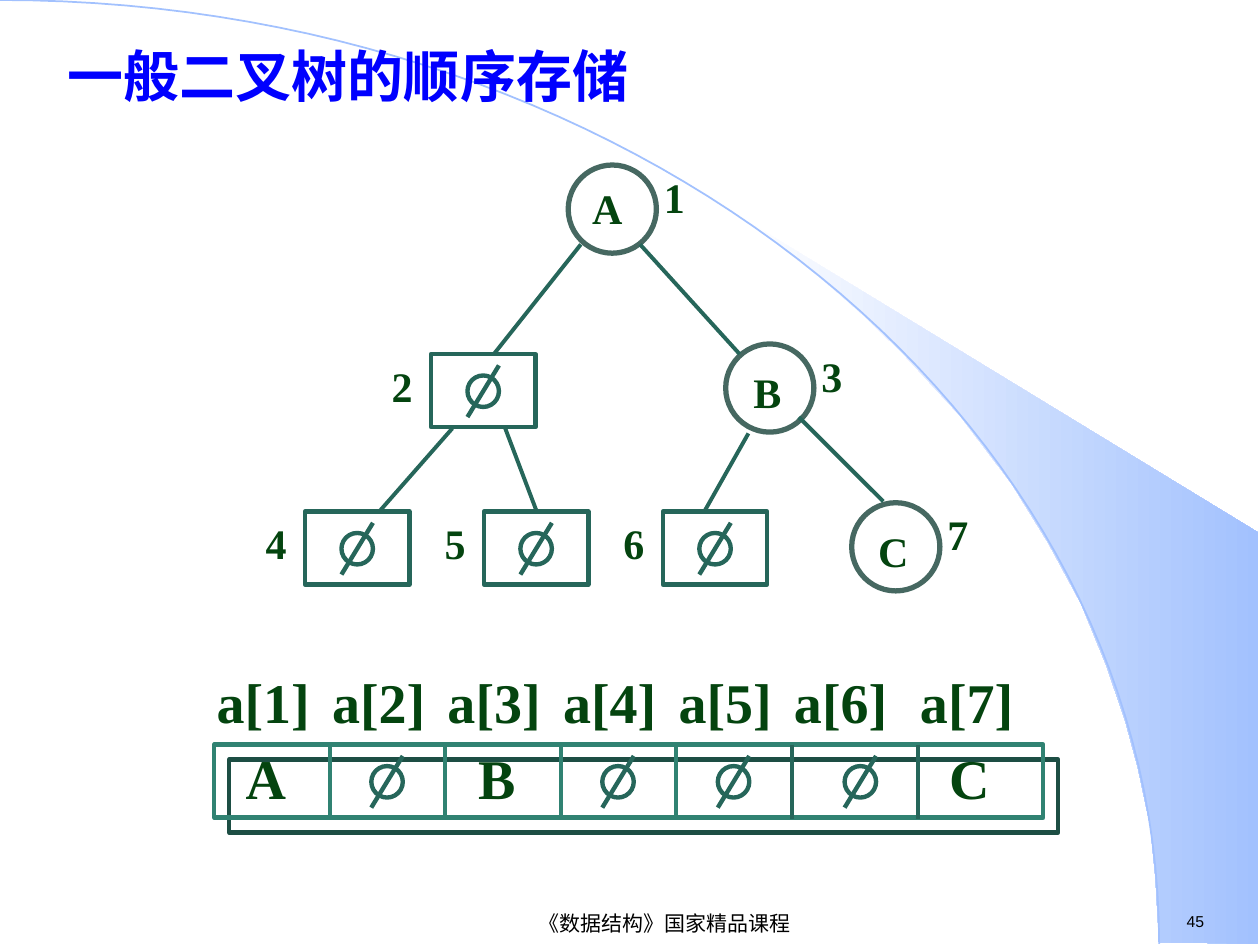
from lxml.etree import SubElement
from pptx import Presentation
from pptx.dml.color import RGBColor
from pptx.enum.shapes import MSO_CONNECTOR, MSO_SHAPE
from pptx.enum.text import MSO_ANCHOR, PP_ALIGN
from pptx.oxml.ns import qn
from pptx.util import Inches, Pt

COLORS = {
    "sky": "A2C1FE",
    "white": "FFFFFF",
    "black": "000000",
    "title": "0000FF",
    "text": "04440F",
    "node": "466861",
    "edge": "26665A",
    "array": "308272",
    "shadow": "1D4E44",
}
SERIF = "Times New Roman"
BOX_WIDTH, BOX_HEIGHT = 0.83, 0.58
NODE_SIZE = 0.7
NULL_SIZE = 0.25
CELL_WIDTH = 5.5 / 6

SWOOSH = [
    (9.2, 7.48), (9.99, 7.49), (9.99, 4.23), (5.89, 1.73), (6.24, 1.99),
    (6.53, 2.22), (6.85, 2.5), (7.16, 2.8), (7.62, 3.3), (8.03, 3.84),
    (8.32, 4.31), (8.58, 4.79), (8.78, 5.28), (8.93, 5.72), (9.03, 6.09),
    (9.13, 6.56), (9.17, 6.96),
]
# Letter, index, circle position, offset of the letter box, its width, line spacing
NODES = [
    ("C", 7, 6.76, 3.99, 0.08, 0.09, 0.5, 1.1),
    ("B", 3, 5.76, 2.73, 0.08, 0.09, 0.5, 1.1),
    ("A", 1, 4.51, 1.31, 0.02, 0.03, 0.58, 1.15),
]
EMPTY_NODES = [(2, 3.42, 2.81), (4, 2.42, 4.06), (5, 3.84, 4.06), (6, 5.26, 4.06)]
EDGES = [
    (6.34, 3.31, 7.01, 3.98), (4.01, 3.4, 4.26, 4.06), (5.08, 1.94, 5.87, 2.81),
    (4.61, 1.94, 3.92, 2.81), (3.59, 3.4, 3.01, 4.06), (5.94, 3.44, 5.59, 4.06),
]


def color(name):
    return RGBColor.from_string(COLORS[name])


def add_text(slide, text, left, top, width, height, size, font=SERIF, color_name="text",
             bold=True, align=PP_ALIGN.LEFT, spacing=1.0, wrap=True, anchor=MSO_ANCHOR.TOP):
    box = slide.shapes.add_textbox(Inches(left), Inches(top), Inches(width), Inches(height))
    frame = box.text_frame
    frame.word_wrap = wrap
    frame.vertical_anchor = anchor
    paragraph = frame.paragraphs[0]
    paragraph.alignment = align
    paragraph.line_spacing = spacing
    run = paragraph.add_run()
    run.text = text
    run.font.name = font
    run.font.size = Pt(size)
    run.font.bold = bold
    run.font.color.rgb = color(color_name)


def add_outline(slide, kind, left, top, width, height, color_name, weight=2.5):
    shape = slide.shapes.add_shape(kind, Inches(left), Inches(top), Inches(width), Inches(height))
    shape.shadow.inherit = False
    shape.fill.background()
    shape.line.color.rgb = color(color_name)
    shape.line.width = Pt(weight)
    return shape


def add_line(slide, x1, y1, x2, y2, color_name="edge", weight=2.25):
    line = slide.shapes.add_connector(
        MSO_CONNECTOR.STRAIGHT, Inches(x1), Inches(y1), Inches(x2), Inches(y2))
    line.line.color.rgb = color(color_name)
    line.line.width = Pt(weight)
    SubElement(line._element.spPr, qn("a:effectLst"))


def add_freeform(slide, points, close):
    corners = [(Inches(x), Inches(y)) for x, y in points]
    builder = slide.shapes.build_freeform(*corners[0])
    builder.add_line_segments(corners[1:], close=close)
    shape = builder.convert_to_shape()
    shape.shadow.inherit = False
    return shape


def add_null_sign(slide, left, top):
    add_outline(slide, MSO_SHAPE.OVAL, left, top, NULL_SIZE, NULL_SIZE, "edge")
    add_line(slide, left + NULL_SIZE, top - 0.08, left, top + 0.33, weight=2.5)


def add_hard_shadow(shape):
    effects = shape._element.spPr.find(qn("a:effectLst"))
    shadow = SubElement(effects, qn("a:outerShdw"), blurRad="0", dist=str(Pt(12.1)),
                        dir="2700000", algn="ctr", rotWithShape="0")
    SubElement(shadow, qn("a:srgbClr"), val=COLORS["shadow"])


def curve_points(start, control1, control2, end, steps=60):
    points = []
    for step in range(steps + 1):
        t = step / steps
        weights = ((1 - t) ** 3, 3 * t * (1 - t) ** 2, 3 * t ** 2 * (1 - t), t ** 3)
        corners = (start, control1, control2, end)
        points.append(tuple(sum(w * corner[axis] for w, corner in zip(weights, corners))
                            for axis in (0, 1)))
    return points


def add_background(slide):
    swoosh = add_freeform(slide, SWOOSH, close=True)
    swoosh.line.fill.background()
    swoosh.fill.gradient()
    swoosh.fill.gradient_angle = 0
    for stop, name, position in zip(swoosh.fill.gradient_stops, ("white", "sky"), (0, 1)):
        stop.color.rgb = color(name)
        stop.position = position

    arc = add_freeform(slide, curve_points((0, 0), (5.08, 0), (9.2, 3.35), (9.2, 7.49)), close=False)
    arc.fill.background()
    arc.line.color.rgb = color("sky")
    arc.line.width = Pt(1)


def add_tree(slide):
    for letter, index, left, top, dx, dy, width, spacing in NODES:
        add_outline(slide, MSO_SHAPE.FLOWCHART_CONNECTOR, left, top,
                    NODE_SIZE, NODE_SIZE, "node", 3)
        add_text(slide, letter, left + dx, top + dy, width, 0.54, 24,
                 align=PP_ALIGN.CENTER, spacing=spacing)
        add_text(slide, str(index), left + 0.66, top, 0.5, 0.5, 24)
    for index, left, top in EMPTY_NODES:
        add_outline(slide, MSO_SHAPE.RECTANGLE, left, top, BOX_WIDTH, BOX_HEIGHT, "edge")
        add_null_sign(slide, left + 0.29, top + 0.17)
        add_text(slide, str(index), left - 0.41, top, 0.5, 0.5, 24)
    for edge in EDGES:
        add_line(slide, *edge)


def add_array(slide):
    left, top = 1.7, 5.91
    # Five equal cells, then two that are one inch wide
    starts = [left + CELL_WIDTH * i for i in range(6)]
    starts.append(starts[-1] + 1)
    frame = add_outline(slide, MSO_SHAPE.RECTANGLE, left, top, 6.58, BOX_HEIGHT, "array")
    add_hard_shadow(frame)
    for index, (start, value) in enumerate(zip(starts, ["A", "", "B", "", "", "", "C"]), 1):
        if index > 1:
            add_line(slide, start, top, start, top + 0.59, "array" if index < 6 else "edge")
        add_text(slide, f"a[{index}]", start - 0.08, 5.25, 1.25, 0.64, 32)
        if value:
            add_text(slide, value, start - 0.05, top, 0.92, BOX_HEIGHT, 32,
                     align=PP_ALIGN.CENTER, spacing=0.9)
        else:
            add_null_sign(slide, start + (0.42 if index == 6 else 0.33), top + 0.17)


def main():
    presentation = Presentation()
    presentation.slide_width = Inches(10)
    presentation.slide_height = Inches(7.5)
    slide = presentation.slides.add_slide(presentation.slide_layouts[6])

    add_background(slide)
    # Page number, footer and title
    add_text(slide, "45", 9.32, 7.19, 0.77, 0.25, 9, "Arial", "black", False, wrap=False)
    add_text(slide, "《数据结构》国家精品课程", 2.4, 7.21, 5.75, 0.24, 12, "Arial", "black", False,
             align=PP_ALIGN.CENTER, wrap=False, anchor=MSO_ANCHOR.MIDDLE)
    add_text(slide, "一般二叉树的顺序存储", 0.44, 0.28, 6.85, 0.71, 32, color_name="title")
    add_tree(slide)
    add_array(slide)
    presentation.save("out.pptx")


if __name__ == "__main__":
    main()
